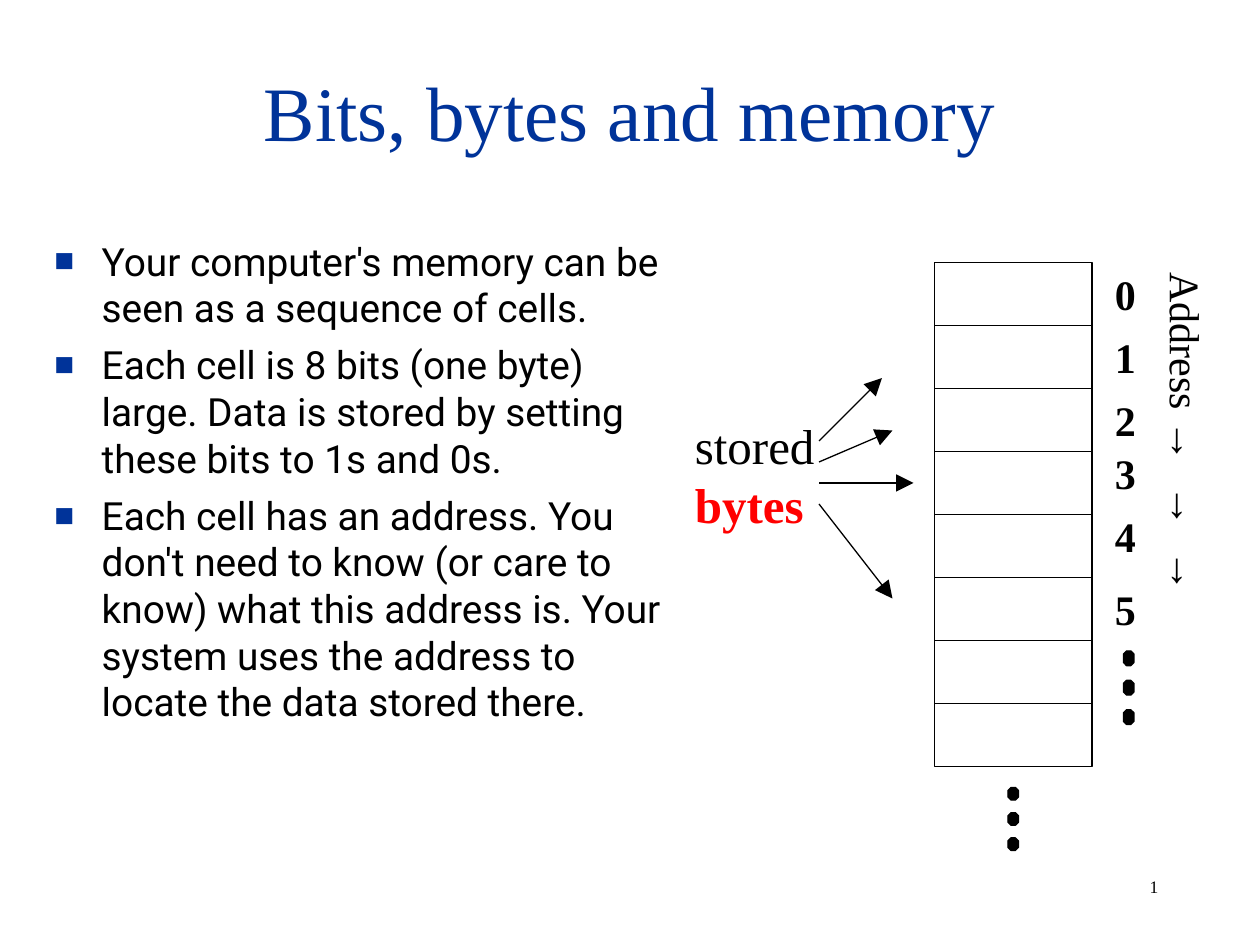
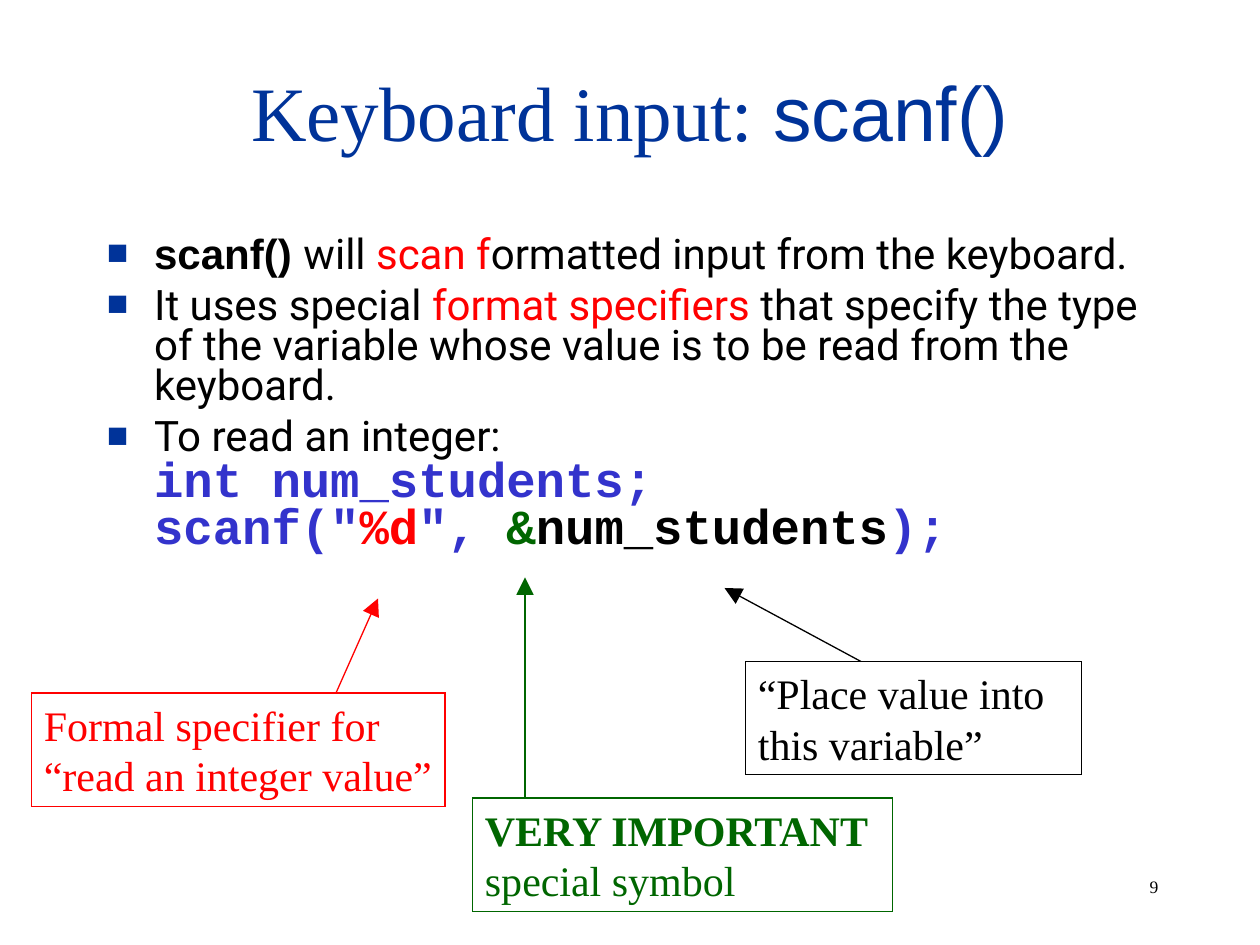
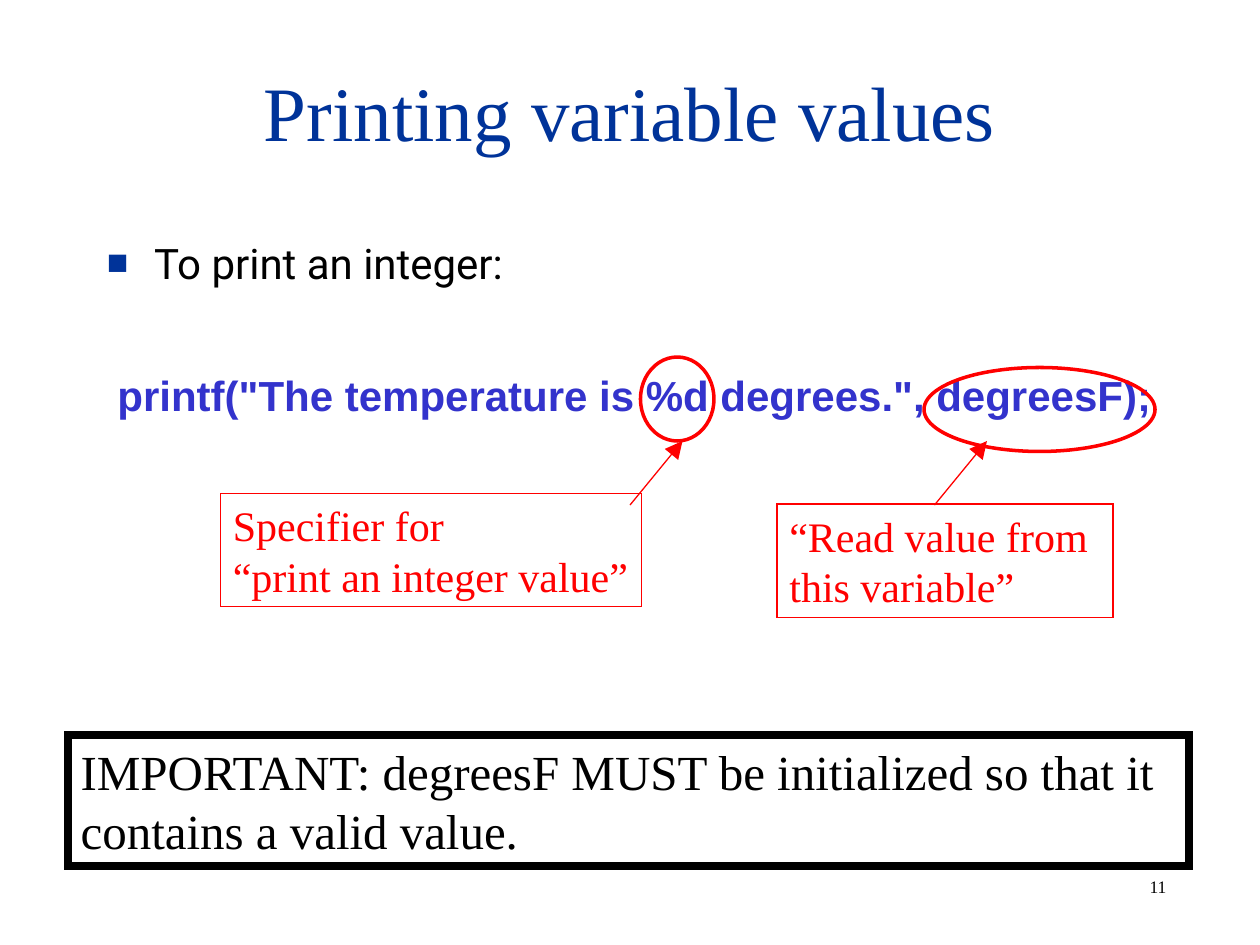
"""Build three lecture slides on memory, scanf and printf."""
import dataclasses
import typing

import pptx
import pptx.dml.color
import pptx.enum.shapes
import pptx.enum.text
import pptx.oxml
import pptx.oxml.ns
import pptx.shapes.connector
import pptx.slide
import pptx.text.text
import pptx.util

RGB = pptx.dml.color.RGBColor
SHAPE = pptx.enum.shapes.MSO_SHAPE
ALIGN = pptx.enum.text.PP_ALIGN
ANCHOR = pptx.enum.text.MSO_ANCHOR
FIT = pptx.enum.text.MSO_AUTO_SIZE

BLACK = RGB(0x00, 0x00, 0x00)
NAVY = RGB(0x00, 0x33, 0x99)
RED = RGB(0xFF, 0x00, 0x00)
GREEN = RGB(0x00, 0x66, 0x00)
CODE_BLUE = RGB(0x33, 0x33, 0xCC)

SLIDE_WIDTH, SLIDE_HEIGHT = pptx.util.Inches(10), pptx.util.Inches(7.5)
COLUMNS, ROWS = 120, 90
THIN, RING, HEAVY = 0.75, 2, 4.5
BULLET_INDENT = 4.5

SERIF, SANS, BODY, MONO = "Times New Roman", "Arial", "Roboto", "Courier New"


def look(name: str, size: float, bold: bool = False) -> dict[str, typing.Any]:
    """Return the font attributes of one text style."""
    return {"name": name, "size": pptx.util.Pt(size), "bold": bold}


TITLE = look(SERIF, 44)
TITLE_CODE = look(SANS, 44)
PAGE = look(SERIF, 10)
NOTE = look(SERIF, 24)
NOTE_BOLD = look(SERIF, 24, True)
LARGE = look(SERIF, 28)
LARGE_BOLD = look(SERIF, 28, True)
POINT_SMALL = look(BODY, 22.2)
POINT = look(BODY, 24)
ARROW_TEXT = look(SANS, 24)
CODE = look(SANS, 24, True)
CODE_LARGE = look(MONO, 28, True)


class Box(typing.NamedTuple):
    """Place in grid columns and rows."""
    left: float
    top: float
    width: float
    height: float


class Run(typing.NamedTuple):
    """Text in one style and colour."""
    text: str
    style: dict[str, typing.Any]
    color: RGB = BLACK


Paragraph = list[Run]


@dataclasses.dataclass(frozen=True)
class Label:
    """Text box with an optional outline."""
    box: Box
    paragraphs: list[Paragraph]
    outline: RGB | None = None
    weight: float = THIN
    wrap: bool = True
    rotation: float = 0
    anchor: ANCHOR = ANCHOR.TOP
    align: ALIGN = ALIGN.LEFT


@dataclasses.dataclass(frozen=True)
class Stroke:
    """Straight line between two grid points."""
    start: tuple[float, float]
    end: tuple[float, float]
    color: RGB = BLACK
    arrow: bool = True


def across(columns: float) -> int:
    """Convert grid columns to a length."""
    return round(SLIDE_WIDTH * columns / COLUMNS)


def down(rows: float) -> int:
    """Convert grid rows to a length."""
    return round(SLIDE_HEIGHT * rows / ROWS)


def place(box: Box) -> tuple[int, int, int, int]:
    """Convert a grid box to lengths."""
    return across(box.left), down(box.top), across(box.width), down(box.height)


def apply(target: typing.Any, values: dict[str, typing.Any]) -> None:
    """Set every named attribute on the target."""
    for name, value in values.items():
        setattr(target, name, value)


def write(paragraph: pptx.text.text._Paragraph, runs: Paragraph) -> None:
    """Fill a paragraph with runs, breaking lines at newlines."""
    for run in runs:
        for index, line in enumerate(run.text.split("\n")):
            if index:
                paragraph.add_line_break()
            if line:
                piece = paragraph.add_run()
                piece.text = line
                apply(piece.font, run.style)
                piece.font.color.rgb = run.color


def append_xml(parent: typing.Any, tag: str, attributes: str = "") -> None:
    """Append an empty drawing element to the parent."""
    namespace = pptx.oxml.ns.nsdecls("a")
    parent.append(pptx.oxml.parse_xml(f"<a:{tag} {namespace} {attributes}/>"))


def draw_label(slide: pptx.slide.Slide, label: Label) -> pptx.text.text.TextFrame:
    """Draw a text box and return its text frame."""
    holder = slide.shapes.add_textbox(*place(label.box))
    holder.rotation = label.rotation
    if label.outline is not None:
        holder.line.color.rgb = label.outline
        holder.line.width = pptx.util.Pt(label.weight)
        append_xml(holder.line._get_or_add_ln(), "miter", 'lim="800000"')
    frame = holder.text_frame
    apply(frame, {
        "word_wrap": label.wrap,
        "auto_size": FIT.NONE if label.wrap else FIT.SHAPE_TO_FIT_TEXT,
        "vertical_anchor": label.anchor,
    })
    for index, runs in enumerate(label.paragraphs):
        paragraph = frame.add_paragraph() if index else frame.paragraphs[0]
        paragraph.alignment = label.align
        write(paragraph, runs)
    return frame


def draw_points(slide: pptx.slide.Slide, box: Box, points: list[Paragraph],
                line_spacing: float = 1.0) -> None:
    """Draw a list with square bullets."""
    for paragraph in draw_label(slide, Label(box, points)).paragraphs:
        apply(paragraph, {"space_before": pptx.util.Pt(6), "line_spacing": line_spacing})
        properties = paragraph._p.get_or_add_pPr()
        properties.set("marL", str(across(BULLET_INDENT)))
        properties.set("indent", str(-across(BULLET_INDENT)))
        namespace = pptx.oxml.ns.nsdecls("a")
        properties.append(pptx.oxml.parse_xml(
            f'<a:buClr {namespace}><a:srgbClr val="{NAVY}"/></a:buClr>'))
        append_xml(properties, "buSzPct", 'val="85000"')
        append_xml(properties, "buFont", f'typeface="{SANS}"')
        append_xml(properties, "buChar", 'char="■"')


def draw_stroke(slide: pptx.slide.Slide, stroke: Stroke) -> pptx.shapes.connector.Connector:
    """Draw a thin line, with an arrowhead at its end if wanted."""
    (x1, y1), (x2, y2) = stroke.start, stroke.end
    line = slide.shapes.add_connector(
        pptx.enum.shapes.MSO_CONNECTOR.STRAIGHT, across(x1), down(y1), across(x2), down(y2))
    line.line.color.rgb = stroke.color
    line.line.width = pptx.util.Pt(THIN)
    if stroke.arrow:
        append_xml(line.line._get_or_add_ln(), "tailEnd", 'type="triangle" w="lg" len="lg"')
    append_xml(line._element.spPr, "effectLst")
    return line


def draw_outline(shapes: typing.Any, kind: SHAPE, box: Box, color: RGB,
                 weight: float = THIN, filled: bool = False) -> typing.Any:
    """Draw a preset shape, filled or hollow."""
    outline = shapes.add_shape(kind, *place(box))
    outline.shadow.inherit = False
    if filled:
        outline.fill.solid()
        outline.fill.fore_color.rgb = color
    else:
        outline.fill.background()
    outline.line.color.rgb = color
    outline.line.width = pptx.util.Pt(weight)
    return outline


def draw_dots(slide: pptx.slide.Slide, first: Box) -> None:
    """Draw three grouped dots, one dot height apart."""
    group = slide.shapes.add_group_shape()
    for index in range(3):
        dot = first._replace(top=first.top + 2 * index * first.height)
        draw_outline(group.shapes, SHAPE.OCTAGON, dot, BLACK, filled=True)


def new_slide(deck: typing.Any, number: int, title: Paragraph) -> pptx.slide.Slide:
    """Add a blank slide with its page number and title."""
    slide = deck.slides.add_slide(deck.slide_layouts[6])
    draw_label(slide, Label(Box(108.3, 82.8, 9.4, 3.2), [[Run(str(number), PAGE)]]))
    draw_label(slide, Label(Box(9, 3, 102, 15), [title],
                            anchor=ANCHOR.MIDDLE, align=ALIGN.CENTER))
    return slide


def build_memory(deck: typing.Any) -> None:
    """Build the slide on memory cells."""
    slide = new_slide(deck, 1, [Run("Bits, bytes and memory", TITLE, NAVY)])
    draw_points(slide, Box(4, 22, 62, 61), [[Run(text, POINT_SMALL)] for text in (
        "Your computer's memory can be seen as a sequence of cells.",
        "Each cell is 8 bits (one byte) large. Data is stored by setting "
        "these bits to 1s and 0s.",
        "Each cell has an address. You don't need to know (or care to know) what this "
        "address is. Your system uses the address to locate the data stored there.",
    )])

    cells, cell_height = 8, 6
    memory = Box(89, 25, 15, cells * cell_height)
    memory_frame = draw_outline(slide.shapes, SHAPE.RECTANGLE, memory, BLACK)
    for cell in range(1, cells):
        edge = memory.top + cell * cell_height
        divider = draw_stroke(slide, Stroke(
            (memory.left, edge), (memory.left + memory.width, edge), arrow=False))
        if cell == cells // 2:
            divider.begin_connect(memory_frame, 1)
            divider.end_connect(memory_frame, 3)

    for address, top in enumerate((25, 31, 37, 42, 48, 55)):
        draw_label(slide, Label(Box(105, top, 5, 6), [[Run(str(address), NOTE_BOLD)]]))
    draw_dots(slide, Box(96, 75, 1, 1.2))
    draw_dots(slide, Box(107, 62, 1, 1.4))
    draw_label(slide, Label(
        Box(93, 38.2, 40, 6), [[Run("Address ", NOTE), Run("→  →  →", ARROW_TEXT)]],
        rotation=90, align=ALIGN.CENTER))

    draw_label(slide, Label(Box(65, 39, 16, 12.5),
                            [[Run("stored\n", LARGE), Run("bytes", LARGE_BOLD, RED)]]))
    for row, tip in enumerate(((84, 36), (85, 41), (87, 46), (85, 57))):
        draw_stroke(slide, Stroke((78, 42 + 2 * row), tip))


def build_scanf(deck: typing.Any) -> None:
    """Build the slide on keyboard input."""
    slide = new_slide(deck, 9, [Run("Keyboard input: ", TITLE, NAVY),
                                Run("scanf()", TITLE_CODE, NAVY)])
    draw_points(slide, Box(9, 22, 102, 38), [
        [Run("scanf() ", CODE), Run("will ", POINT), Run("scan f", POINT, RED),
         Run("ormatted input from the keyboard.", POINT)],
        [Run("It uses special ", POINT), Run("format specifiers", POINT, RED),
         Run(" that specify the type of the variable whose value is to be read "
             "from the keyboard.", POINT)],
        [Run("To read an integer:\n", POINT),
         Run('int num_students;\nscanf("', CODE_LARGE, CODE_BLUE),
         Run("%d", CODE_LARGE, RED), Run('", ', CODE_LARGE, CODE_BLUE),
         Run("&", CODE_LARGE, GREEN), Run("num_students", CODE_LARGE),
         Run(");", CODE_LARGE, CODE_BLUE)],
    ], line_spacing=0.8)

    for label in (
        Label(Box(3, 66, 39.4, 10.8),
              [[Run("Formal specifier for", NOTE, RED)],
               [Run("“read an integer value”", NOTE, RED)]], RED, wrap=False),
        Label(Box(45, 76, 40, 10.8),
              [[Run("VERY IMPORTANT", NOTE_BOLD, GREEN)],
               [Run("special symbol", NOTE, GREEN)]], GREEN),
        Label(Box(71, 63, 32, 10.8),
              [[Run("“Place value into this variable”", NOTE)]], BLACK),
    ):
        draw_label(slide, label)
    for pointer in (Stroke((32, 66), (36, 57), RED),
                    Stroke((50, 76), (50, 55), GREEN),
                    Stroke((82, 63), (69, 56))):
        draw_stroke(slide, pointer)


def build_printf(deck: typing.Any) -> None:
    """Build the slide on printing values."""
    slide = new_slide(deck, 11, [Run("Printing variable values", TITLE, NAVY)])
    draw_points(slide, Box(9, 22, 102, 61), [[Run("To print an integer:", POINT)]])
    for label in (
        Label(Box(10, 34.6, 106, 6),
              [[Run('printf("The temperature is %d degrees.", degreesF);',
                    CODE, CODE_BLUE)]], anchor=ANCHOR.MIDDLE),
        Label(Box(21, 47, 40.1, 10.8),
              [[Run("Specifier for", NOTE, RED)],
               [Run("“print an integer value”", NOTE, RED)]], RED, wrap=False),
        Label(Box(74, 48, 32, 10.8),
              [[Run("“Read value from this variable”", NOTE, RED)]], RED),
        Label(Box(6.5, 70, 106.7, 12.5),
              [[Run("IMPORTANT: degreesF MUST be initialized so that it", LARGE)],
               [Run("contains a valid value.", LARGE)]], BLACK, HEAVY, wrap=False),
    ):
        draw_label(slide, label)
    for pointer in (Stroke((60, 48.1), (65, 42), RED), Stroke((89, 48.1), (94, 42), RED)):
        draw_stroke(slide, pointer)
    for ring in (Box(61, 34, 7, 8), Box(88, 35, 22, 8)):
        draw_outline(slide.shapes, SHAPE.OVAL, ring, RED, RING)


def main() -> None:
    """Build and save the deck."""
    deck = pptx.Presentation()
    apply(deck, {"slide_width": SLIDE_WIDTH, "slide_height": SLIDE_HEIGHT})
    for build in (build_memory, build_scanf, build_printf):
        build(deck)
    deck.save("out.pptx")


if __name__ == "__main__":
    main()
